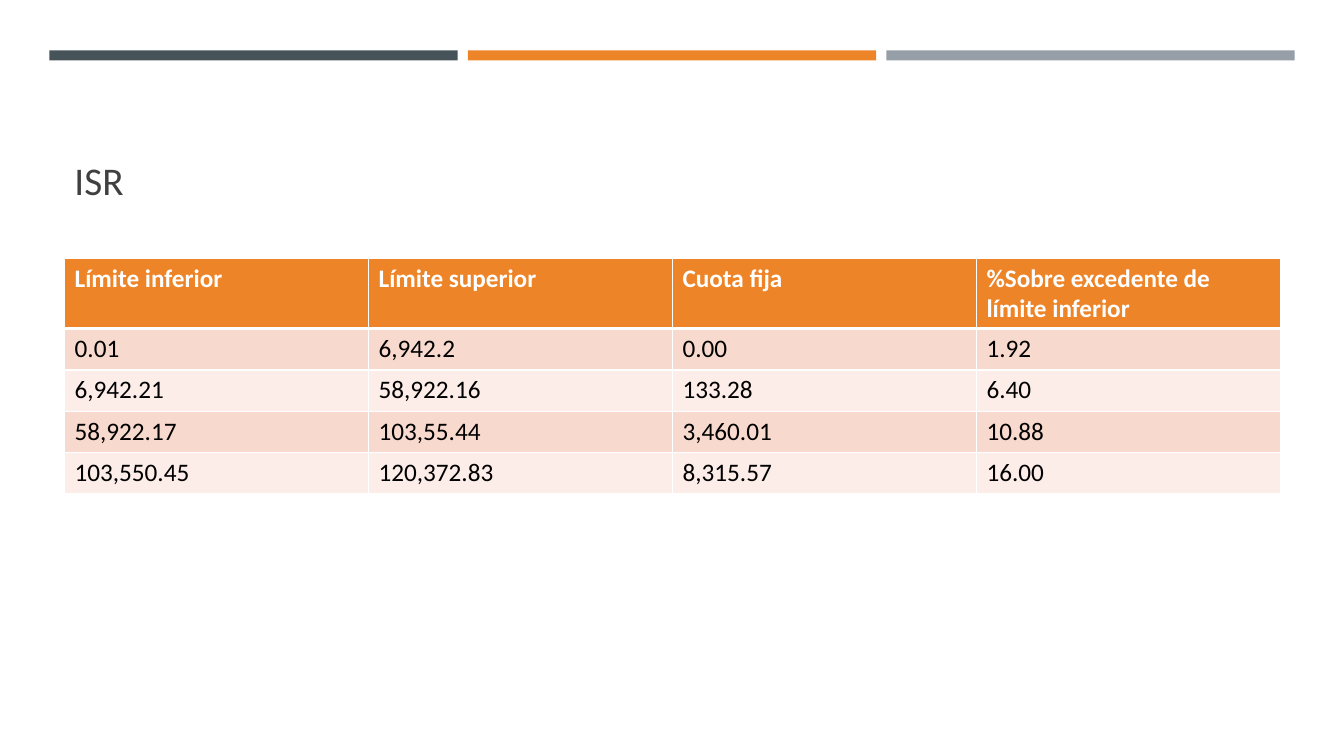
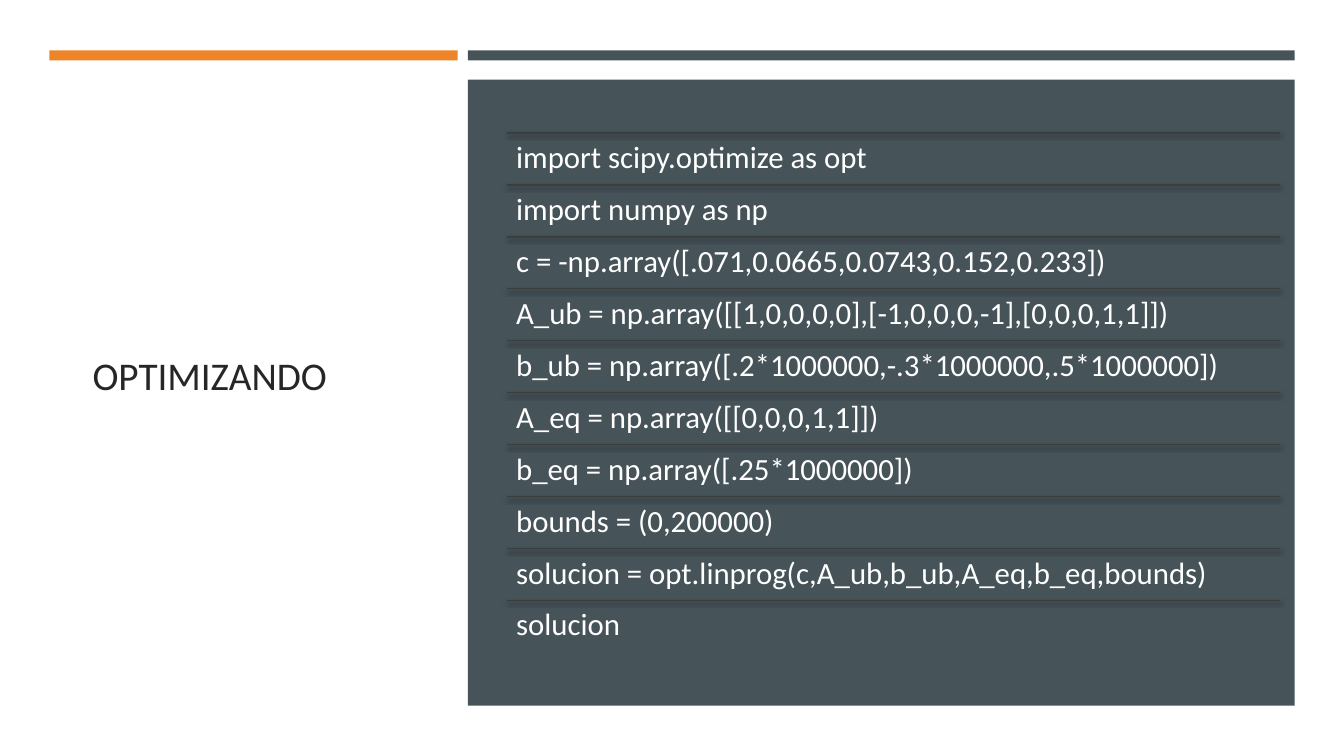
from lxml import etree
from pptx import Presentation
from pptx.dml.color import RGBColor
from pptx.enum.shapes import MSO_CONNECTOR, MSO_SHAPE
from pptx.enum.text import MSO_ANCHOR
from pptx.oxml import parse_xml
from pptx.util import Inches, Pt

RECTANGLE, STRAIGHT = MSO_SHAPE.RECTANGLE, MSO_CONNECTOR.STRAIGHT
TOP, MIDDLE, BOTTOM = MSO_ANCHOR.TOP, MSO_ANCHOR.MIDDLE, MSO_ANCHOR.BOTTOM

SLATE = RGBColor(0x46, 0x53, 0x59)
ORANGE = RGBColor(0xED, 0x84, 0x28)
GREY = RGBColor(0x96, 0x9F, 0xA7)
WHITE = RGBColor(0xFF, 0xFF, 0xFF)
BLACK = RGBColor(0, 0, 0)
TITLE_GREY = RGBColor(0x40, 0x40, 0x40)
TITLE_DARK = RGBColor(0x26, 0x26, 0x26)
RULE_GREY = RGBColor(0x3D, 0x3D, 0x3D)
ROW_TINTS = [RGBColor(0xF8, 0xD9, 0xCD), RGBColor(0xFC, 0xED, 0xE8)]

FONT = "Calibri"
TITLE_SIZE = 28
DRAWING_NS = "http://schemas.openxmlformats.org/drawingml/2006/main"

# Three-column grid, in inches
MARGIN, COLUMN, GAP = 0.49, 4.05, 0.1
BAND_TOP, BAND_HEIGHT = 0.5, 0.1
CONTENT_LEFT, CONTENT_RIGHT = 0.64, 12.7

deck = Presentation()
deck.slide_width, deck.slide_height = Inches(13.33), Inches(7.5)
blank = deck.slide_layouts[6]


def add_block(slide, column, span, color, top=BAND_TOP, height=BAND_HEIGHT):
    """Fill a number of grid columns with a plain rectangle."""
    left = MARGIN + column * (COLUMN + GAP)
    width = span * COLUMN + (span - 1) * GAP
    block = slide.shapes.add_shape(
        RECTANGLE, Inches(left), Inches(top), Inches(width), Inches(height))
    block.shadow.inherit = False
    block.fill.solid()
    block.fill.fore_color.rgb = color
    block.line.fill.background()


def add_text(slide, text, left, top, width, height, size, color, anchor):
    """Write one paragraph in a wrapping text box."""
    frame = slide.shapes.add_textbox(
        Inches(left), Inches(top), Inches(width), Inches(height)).text_frame
    frame.word_wrap = True
    frame.vertical_anchor = anchor
    paragraph = frame.paragraphs[0]
    paragraph.text = text
    paragraph.font.name, paragraph.font.size = FONT, Pt(size)
    paragraph.font.color.rgb = color
    return frame


# Slide 1: tax brackets
isr = deck.slides.add_slide(blank)
for column, color in enumerate([SLATE, ORANGE, GREY]):
    add_block(isr, column, 1, color)
content_width = CONTENT_RIGHT - CONTENT_LEFT
add_text(isr, "ISR", CONTENT_LEFT, 0.77, content_width, 1.3,
         TITLE_SIZE, TITLE_GREY, BOTTOM)

brackets = [
    ["Límite inferior", "Límite superior", "Cuota fija",
     "%Sobre excedente de límite inferior"],
    ["0.01", "6,942.2", "0.00", "1.92"],
    ["6,942.21", "58,922.16", "133.28", "6.40"],
    ["58,922.17", "103,55.44", "3,460.01", "10.88"],
    ["103,550.45", "120,372.83", "8,315.57", "16.00"],
]
HEADER_HEIGHT, ROW_HEIGHT = 0.7, 0.41
table = isr.shapes.add_table(
    len(brackets), len(brackets[0]), Inches(CONTENT_LEFT), Inches(2.56),
    Inches(content_width),
    Inches(HEADER_HEIGHT + ROW_HEIGHT * (len(brackets) - 1))).table

for row, values in enumerate(brackets):
    is_header = row == 0
    table.rows[row].height = Inches(HEADER_HEIGHT if is_header else ROW_HEIGHT)
    for column, value in enumerate(values):
        cell = table.cell(row, column)
        cell.text = value
        font = cell.text_frame.paragraphs[0].font
        font.name, font.size, font.bold = FONT, Pt(18), is_header
        font.color.rgb = WHITE if is_header else BLACK

        # White borders, heavier between header and body
        for side in "LRTB":
            heavy = (row, side) in [(0, "B"), (1, "T")]
            cell._tc.get_or_add_tcPr().append(parse_xml(
                f'<a:ln{side} xmlns:a="{DRAWING_NS}" w="{Pt(3 if heavy else 1)}">'
                f'<a:solidFill><a:srgbClr val="{WHITE}"/></a:solidFill>'
                f'</a:ln{side}>'))
        cell.fill.solid()
        cell.fill.fore_color.rgb = ORANGE if is_header else ROW_TINTS[(row - 1) % 2]

# Slide 2: optimisation code
optimizing = deck.slides.add_slide(blank)
add_text(optimizing, "OPTIMIZANDO", 0.82, 1.14, 3.34, 5.15,
         TITLE_SIZE, TITLE_DARK, MIDDLE)
add_block(optimizing, 0, 1, ORANGE)
add_block(optimizing, 1, 2, SLATE)
add_block(optimizing, 1, 2, SLATE, top=0.79, height=6.21)

code_lines = [
    "import scipy.optimize as opt",
    "import numpy as np",
    "c = -np.array([.071,0.0665,0.0743,0.152,0.233])",
    "A_ub = np.array([[1,0,0,0,0],[-1,0,0,0,-1],[0,0,0,1,1]])",
    "b_ub = np.array([.2*1000000,-.3*1000000,.5*1000000])",
    "A_eq = np.array([[0,0,0,1,1]])",
    "b_eq = np.array([.25*1000000])",
    "bounds = (0,200000)",
    "solucion = opt.linprog(c,A_ub,b_ub,A_eq,b_eq,bounds)",
    "solucion",
]
CODE_LEFT, CODE_TOP, CODE_BOTTOM = 5.03, 1.32, 6.47
line_height = (CODE_BOTTOM - CODE_TOP) / len(code_lines)

for index, code in enumerate(code_lines):
    top = CODE_TOP + index * line_height

    # Rule above the line, with a soft shadow below it
    rule = optimizing.shapes.add_connector(
        STRAIGHT, Inches(CODE_LEFT), Inches(top), Inches(CONTENT_RIGHT), Inches(top))
    rule.line.color.rgb = RULE_GREY
    rule.line.width = Pt(1)
    effects = etree.SubElement(rule._element.spPr, f"{{{DRAWING_NS}}}effectLst")
    effects.append(parse_xml(
        f'<a:outerShdw xmlns:a="{DRAWING_NS}" blurRad="{Pt(3)}" dist="{Pt(2)}" '
        'dir="5400000" rotWithShape="0"><a:srgbClr val="000000">'
        '<a:alpha val="55000"/></a:srgbClr></a:outerShdw>'))

    frame = add_text(optimizing, code, CODE_LEFT, top, CONTENT_RIGHT - CODE_LEFT,
                     line_height, 22, WHITE, TOP)
    frame.margin_left = frame.margin_right = Inches(0.09)
    frame.margin_top = frame.margin_bottom = Inches(0.09)
    frame.paragraphs[0].line_spacing = 0.9

deck.save("out.pptx")
